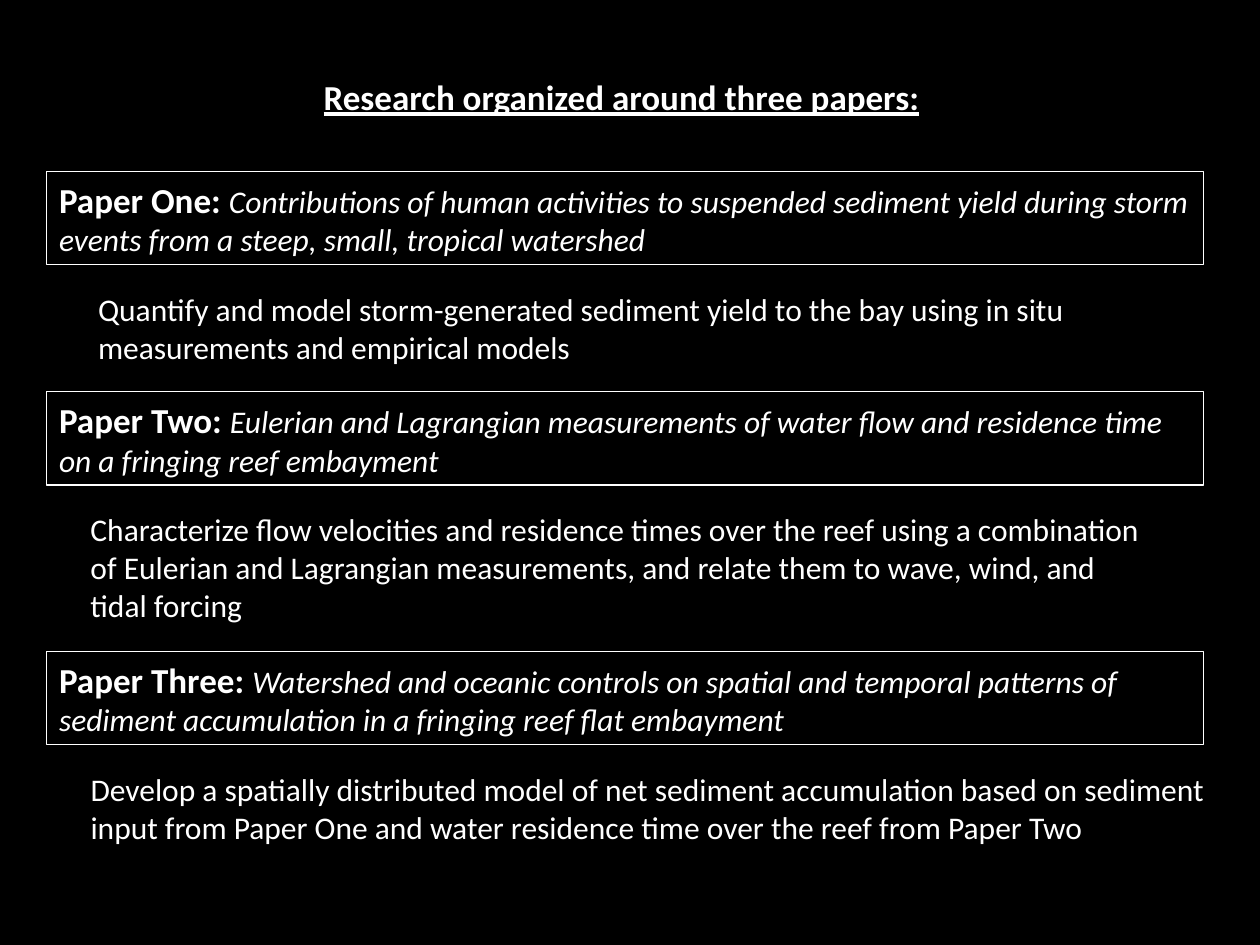
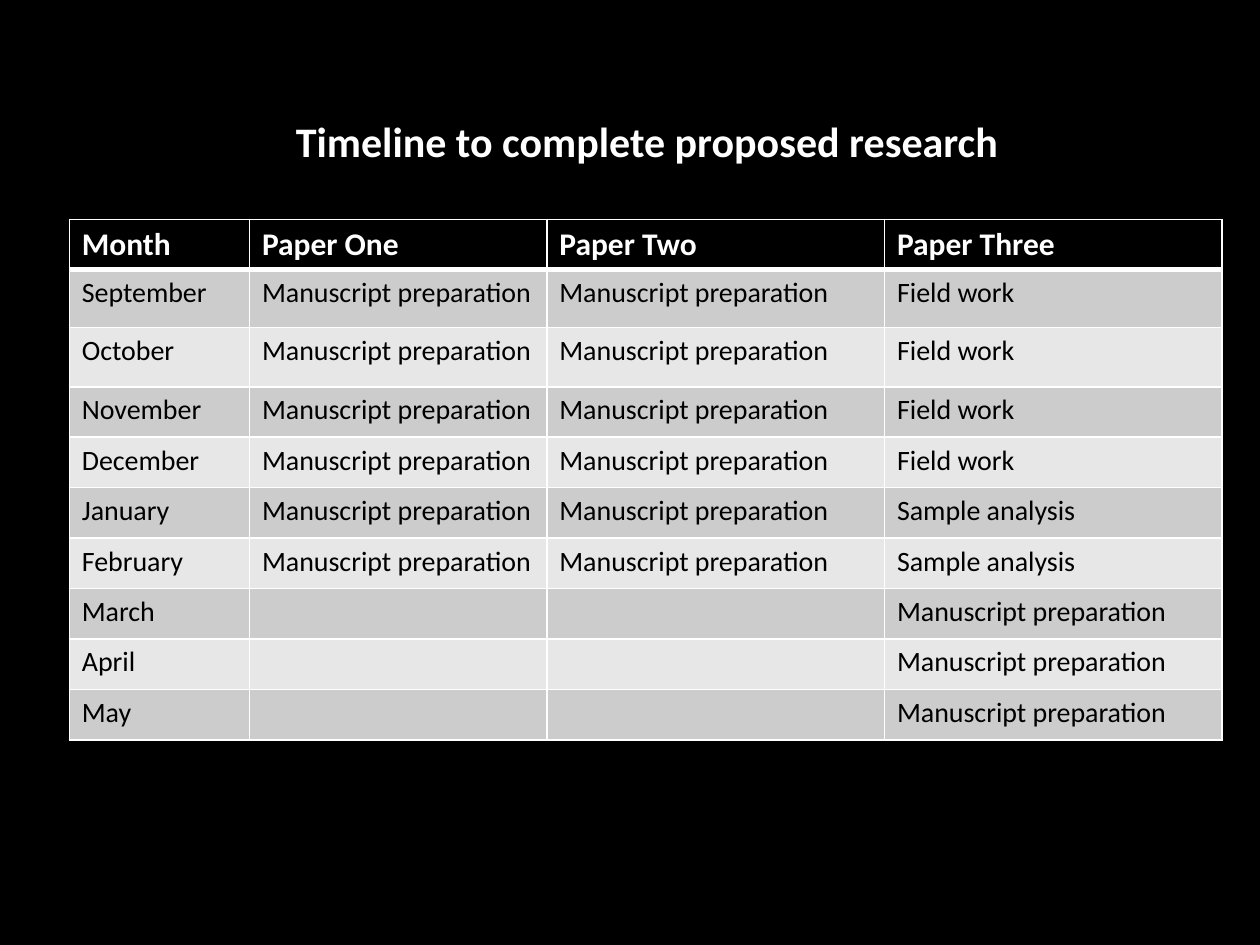
from dataclasses import dataclass

from lxml.etree import SubElement
from pptx import Presentation
from pptx.dml.color import RGBColor as Color
from pptx.enum.shapes import MSO_SHAPE as Preset
from pptx.enum.text import MSO_AUTO_SIZE as AutoSize
from pptx.oxml.ns import qn
from pptx.util import Inches, Pt


@dataclass(frozen=True)
class Theme:
    font: str = "Calibri"
    dark: Color = Color(0, 0, 0)
    light: Color = Color(255, 255, 255)
    bands: tuple = (Color(0xCC, 0xCC, 0xCC), Color(0xE7, 0xE7, 0xE7))
    heading: int = 24
    label: int = 20
    body: int = 18
    cell: int = 16
    outline: float = 0.75
    grid: int = 1
    header_rule: int = 3


THEME = Theme()

# Each paper: box top, label, title, then the aim's place and text.
PAPERS = [
    (1.36, "Paper One: ",
     "Contributions of human activities to suspended sediment yield during "
     "storm events from a steep, small, tropical watershed",
     (0.68, 2.25, 8.37, 0.71),
     "Quantify and model storm-generated sediment yield to the bay using in situ "
     "measurements and empirical models"),
    (3.11, "Paper Two: ",
     "Eulerian and Lagrangian measurements of water flow and residence time "
     "on a fringing reef embayment",
     (0.62, 4, 8.67, 1.01),
     "Characterize flow velocities and residence times over the reef using a "
     "combination of Eulerian and Lagrangian measurements, and relate them to "
     "wave, wind, and tidal forcing"),
    (5.17, "Paper Three: ",
     "Watershed and oceanic controls on spatial and temporal patterns of "
     "sediment accumulation in a fringing reef flat embayment",
     (0.62, 6.06, 9.19, 0.71),
     "Develop a spatially distributed model of net sediment accumulation based on "
     "sediment input from Paper One and water residence time over the reef from "
     "Paper Two"),
]

WRITING, FIELD, ANALYSIS = "Manuscript preparation", "Field work", "Sample analysis"
TIMELINE = [
    ("Month", "Paper One", "Paper Two", "Paper Three"),
    *((month, WRITING, WRITING, FIELD)
      for month in ("September", "October", "November", "December")),
    *((month, WRITING, WRITING, ANALYSIS) for month in ("January", "February")),
    *((month, "", "", WRITING) for month in ("March", "April", "May")),
]
COLUMN_WIDTHS = (1.43, 2.36, 2.68, 2.68)
ROW_HEIGHTS = (0.4, 0.46, 0.47) + (0.4,) * 7


def add_page(deck):
    page = deck.slides.add_slide(deck.slide_layouts[6])
    page.background.fill.solid()
    page.background.fill.fore_color.rgb = THEME.dark
    return page


def add_span(para, text, size, color=THEME.light, **formats):
    span = para.add_run()
    span.text = text
    span.font.color.rgb = color
    formats = {"name": THEME.font, "size": Pt(size), **formats}
    for name, value in formats.items():
        setattr(span.font, name, value)


def add_text(page, place, text, size, wrap=True, **formats):
    box = page.shapes.add_textbox(*map(Inches, place))
    box.text_frame.word_wrap = wrap
    box.text_frame.auto_size = AutoSize.SHAPE_TO_FIT_TEXT
    add_span(box.text_frame.paragraphs[0], text, size, **formats)


def add_paper_box(page, top, label, title):
    box = page.shapes.add_shape(
        Preset.RECTANGLE, *map(Inches, (0.37, top, 9.18, 0.74)))
    box.shadow.inherit = False
    box.fill.background()
    box.line.color.rgb = THEME.light
    box.line.width = Pt(THEME.outline)
    frame = box.text_frame
    frame.word_wrap = True
    frame.auto_size = AutoSize.SHAPE_TO_FIT_TEXT
    para = frame.paragraphs[0]
    para.alignment = 1
    add_span(para, label, THEME.label, bold=True)
    add_span(para, title, THEME.body, italic=True)


def set_borders(cell, top, bottom):
    """Draw the four cell edges; must run before the cell is filled."""
    properties = cell._tc.get_or_add_tcPr()
    widths = {"L": THEME.grid, "R": THEME.grid, "T": top, "B": bottom}
    for side, width in widths.items():
        edge = SubElement(properties, qn(f"a:ln{side}"), w=str(Pt(width)))
        fill = SubElement(edge, qn("a:solidFill"))
        SubElement(fill, qn("a:srgbClr"), val=str(THEME.light))


def add_timeline(page, left, top):
    table = page.shapes.add_table(
        len(TIMELINE), len(COLUMN_WIDTHS), Inches(left), Inches(top),
        Inches(sum(COLUMN_WIDTHS)), Inches(sum(ROW_HEIGHTS))).table
    table.horz_banding = False
    for column, width in zip(table.columns, COLUMN_WIDTHS):
        column.width = Inches(width)
    for index, (row, height, texts) in enumerate(
            zip(table.rows, ROW_HEIGHTS, TIMELINE)):
        row.height = Inches(height)
        header = index == 0
        fill = THEME.dark if header else THEME.bands[(index - 1) % 2]
        color = THEME.light if header else THEME.dark
        size = THEME.body if header else THEME.cell
        top_rule = THEME.header_rule if index == 1 else THEME.grid
        bottom_rule = THEME.header_rule if header else THEME.grid
        for cell, text in zip(row.cells, texts):
            set_borders(cell, top_rule, bottom_rule)
            cell.fill.solid()
            cell.fill.fore_color.rgb = fill
            if text:
                add_span(cell.text_frame.paragraphs[0], text, size, color, bold=header)


def build_papers_page(deck):
    page = add_page(deck)
    add_text(page, (2.47, 0.55, 4.97, 0.44), "Research organized around three papers:",
             THEME.label, wrap=False, bold=True, underline=True)
    for top, label, title, aim_place, aim in PAPERS:
        add_paper_box(page, top, label, title)
        add_text(page, aim_place, aim, THEME.body)


def build_timeline_page(deck):
    page = add_page(deck)
    add_text(page, (2.25, 0.87, 5.83, 0.5), "Timeline to complete proposed research",
             THEME.heading, wrap=False, bold=True)
    add_timeline(page, 0.55, 1.74)


def main():
    deck = Presentation()
    deck.slide_width, deck.slide_height = Inches(10), Inches(7.5)
    build_papers_page(deck)
    build_timeline_page(deck)
    deck.save("out.pptx")


if __name__ == "__main__":
    main()
